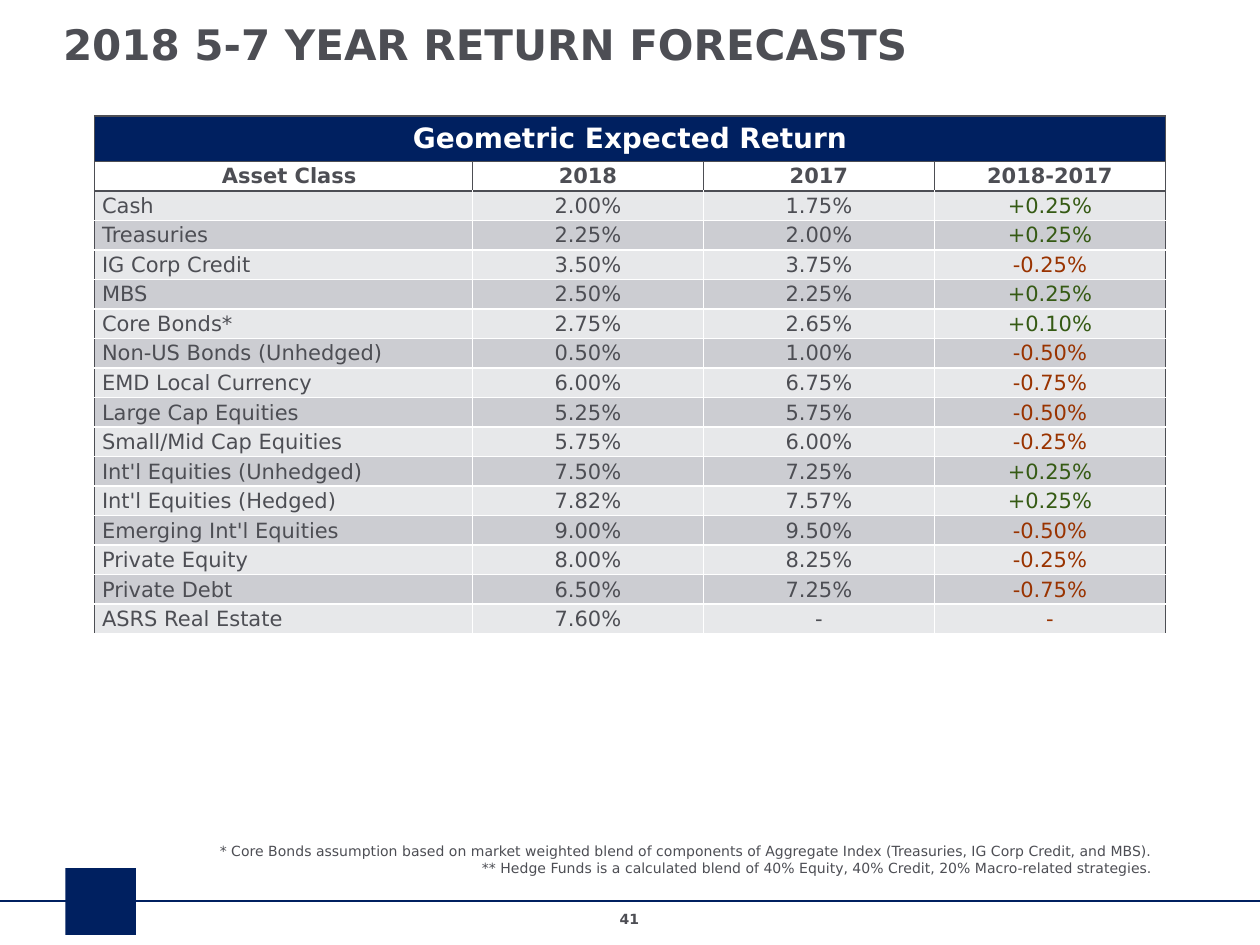
from dataclasses import dataclass

from lxml.etree import SubElement
from pptx import Presentation
from pptx.dml.color import RGBColor
from pptx.enum.shapes import MSO_CONNECTOR, MSO_SHAPE
from pptx.enum.text import MSO_ANCHOR as Anchor, PP_ALIGN as Align
from pptx.oxml.ns import qn
from pptx.util import Inches, Pt


@dataclass(frozen=True)
class Theme:
    font: str = "DejaVu Sans"
    navy: str = "002060"
    text: str = "4D4E54"
    white: str = "FFFFFF"
    light_band: str = "E7E8EA"
    dark_band: str = "CCCDD2"
    gain: str = "355A14"
    loss: str = "993300"
    title_size: int = 24
    banner_size: int = 16
    table_size: int = 12
    note_size: int = 8


theme = Theme()


def write_text(paragraph, text, size, color, bold=False, align=Align.LEFT):
    paragraph.text = text
    paragraph.alignment = align
    values = {"name": theme.font, "size": Pt(size), "bold": bold}
    for name, value in values.items():
        setattr(paragraph.font, name, value)
    paragraph.font.color.rgb = RGBColor.from_string(color)


def style_cell(cell, fill, margins, borders):
    cell.vertical_anchor = Anchor.MIDDLE
    for side, margin in zip(("left", "top", "right", "bottom"), margins):
        setattr(cell, f"margin_{side}", Inches(margin))
    # Borders come before the fill in the cell properties
    properties = cell._tc.get_or_add_tcPr()
    for side, color in zip("LRTB", borders):
        line = SubElement(properties, qn(f"a:ln{side}"), w=str(Pt(1)))
        solid = SubElement(line, qn("a:solidFill"))
        SubElement(solid, qn("a:srgbClr"), val=color)
    cell.fill.solid()
    cell.fill.fore_color.rgb = RGBColor.from_string(fill)


presentation = Presentation()
presentation.slide_width = Inches(10)
presentation.slide_height = Inches(7.5)
slide = presentation.slides.add_slide(presentation.slide_layouts[5])
shapes = slide.shapes

# Footer rule and square
rule = shapes.add_connector(
    MSO_CONNECTOR.STRAIGHT, Inches(10), Inches(7.15), Inches(0), Inches(7.15)
)
rule.line.color.rgb = RGBColor.from_string(theme.navy)
rule.line.width = Pt(1.5)
SubElement(rule._element.spPr, qn("a:effectLst"))

square = shapes.add_shape(
    MSO_SHAPE.RECTANGLE, Inches(0.52), Inches(6.89), Inches(0.56), Inches(0.53)
)
square.shadow.inherit = False
square.fill.solid()
square.fill.fore_color.rgb = RGBColor.from_string(theme.navy)
square.line.fill.background()

# Title
title = shapes.title
title.left, title.top = Inches(0.4), Inches(0.12)
title.width, title.height = Inches(9), Inches(0.46)
title.text_frame.vertical_anchor = Anchor.MIDDLE
write_text(title.text_frame.paragraphs[0], "2018 5-7 YEAR RETURN FORECASTS",
           theme.title_size, theme.text, bold=True)

# Page number and footnotes
notes = [
    "* Core Bonds assumption based on market weighted blend of components of "
    "Aggregate Index (Treasuries, IG Corp Credit, and MBS).",
    "** Hedge Funds is a calculated blend of 40% Equity, 40% Credit, "
    "20% Macro-related strategies.",
]
text_boxes = [
    ((3.83, 7.18, 2.33, 0.24), ["41"], Align.CENTER, True),
    ((0.75, 6.64, 8.5, 0.37), notes, Align.RIGHT, False),
]
for position, lines, align, bold in text_boxes:
    frame = shapes.add_textbox(*map(Inches, position)).text_frame
    frame.word_wrap = True
    for index, line in enumerate(lines):
        paragraph = frame.add_paragraph() if index else frame.paragraphs[0]
        write_text(paragraph, line, theme.note_size, theme.text, bold, align)

# Return table
headings = ["Asset Class", "2018", "2017", "2018-2017"]
returns = [
    ("Cash", "2.00%", "1.75%", "+0.25%"),
    ("Treasuries", "2.25%", "2.00%", "+0.25%"),
    ("IG Corp Credit", "3.50%", "3.75%", "-0.25%"),
    ("MBS", "2.50%", "2.25%", "+0.25%"),
    ("Core Bonds*", "2.75%", "2.65%", "+0.10%"),
    ("Non-US Bonds (Unhedged)", "0.50%", "1.00%", "-0.50%"),
    ("EMD Local Currency", "6.00%", "6.75%", "-0.75%"),
    ("Large Cap Equities", "5.25%", "5.75%", "-0.50%"),
    ("Small/Mid Cap Equities", "5.75%", "6.00%", "-0.25%"),
    ("Int'l Equities (Unhedged)", "7.50%", "7.25%", "+0.25%"),
    ("Int'l Equities (Hedged)", "7.82%", "7.57%", "+0.25%"),
    ("Emerging Int'l Equities", "9.00%", "9.50%", "-0.50%"),
    ("Private Equity", "8.00%", "8.25%", "-0.25%"),
    ("Private Debt", "6.50%", "7.25%", "-0.75%"),
    ("ASRS Real Estate", "7.60%", "-", "-"),
]
last_column = len(headings) - 1
table = shapes.add_table(
    len(returns) + 2, len(headings),
    Inches(0.75), Inches(0.92), Inches(8.5), Inches(4.11)
).table
table.first_row = table.horz_banding = False

label_width, banner_height = 3, 0.36
for index, column in enumerate(table.columns):
    column.width = Inches((8.5 - label_width) / last_column if index else label_width)
for index, row in enumerate(table.rows):
    row.height = Inches((4.11 - banner_height) / (len(returns) + 1) if index else banner_height)

# Banner and column headings
for index, heading in enumerate(headings):
    style_cell(table.cell(0, index), theme.navy, (0.01, 0.01, 0.01, 0), [theme.text] * 4)
    cell = table.cell(1, index)
    margins = (0, 0, 0, 0) if index else (0.1, 0.01, 0.01, 0)
    style_cell(cell, theme.white, margins, [theme.text] * 4)
    write_text(cell.text_frame.paragraphs[0], heading, theme.table_size, theme.text,
               bold=True, align=Align.CENTER)
banner = table.cell(0, 0)
banner.merge(table.cell(0, last_column))
write_text(banner.text_frame.paragraphs[0], "Geometric Expected Return",
           theme.banner_size, theme.white, bold=True, align=Align.CENTER)

# Asset class rows
for row_index, values in enumerate(returns):
    band = theme.dark_band if row_index % 2 else theme.light_band
    for column_index, value in enumerate(values):
        is_label, is_change = column_index == 0, column_index == last_column
        borders = [
            theme.text if is_label else theme.white,
            theme.text if is_change else theme.white,
            theme.white if row_index else theme.text,
            theme.white,
        ]
        color = theme.text
        if is_change:
            color = theme.gain if value.startswith("+") else theme.loss
        cell = table.cell(row_index + 2, column_index)
        style_cell(cell, band, (0.06 if is_label else 0.01, 0.01, 0.01, 0), borders)
        write_text(cell.text_frame.paragraphs[0], value, theme.table_size, color,
                   align=Align.LEFT if is_label else Align.CENTER)

presentation.save("out.pptx")
